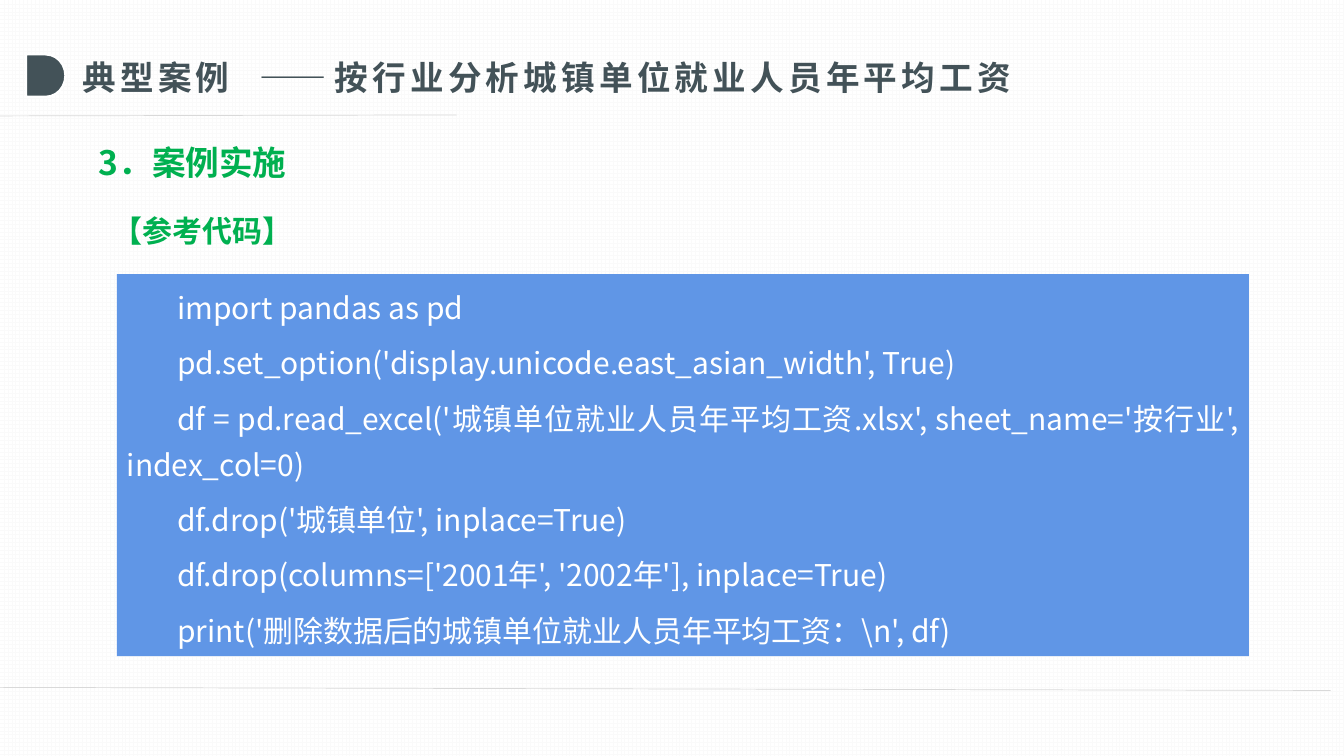
from lxml import etree
from pptx import Presentation
from pptx.dml.color import RGBColor
from pptx.enum.dml import MSO_PATTERN
from pptx.enum.shapes import MSO_CONNECTOR, MSO_SHAPE
from pptx.enum.text import MSO_ANCHOR, MSO_AUTO_SIZE, PP_ALIGN
from pptx.oxml.ns import qn
from pptx.util import Pt

CROSS = MSO_PATTERN.CROSS
STRAIGHT = MSO_CONNECTOR.STRAIGHT
DELAY, RECTANGLE = MSO_SHAPE.FLOWCHART_DELAY, MSO_SHAPE.RECTANGLE
TOP = MSO_ANCHOR.TOP
GROW = MSO_AUTO_SIZE.SHAPE_TO_FIT_TEXT
LEFT, JUSTIFY = PP_ALIGN.LEFT, PP_ALIGN.JUSTIFY

WHITE = RGBColor(0xFF, 0xFF, 0xFF)
PATTERN_GRAY = RGBColor(0xFA, 0xFA, 0xFA)
RULE_GRAY = RGBColor(0xD9, 0xD9, 0xD9)
SLATE = RGBColor(0x43, 0x52, 0x58)
GREEN = RGBColor(0x00, 0xB0, 0x50)
BLUE = RGBColor(0x60, 0x96, 0xE6)

CJK_FONT = "Noto Sans CJK SC"
TITLE_FORMAT = {"size": Pt(24), "bold": True, "name": "Arial"}
SECTION_FORMAT = {"size": Pt(24), "bold": True, "name": CJK_FONT}
LABEL_FORMAT = {"size": Pt(21.4), "bold": True, "name": CJK_FONT}
CODE_FORMAT = {"size": Pt(21.4), "bold": False, "name": CJK_FONT}

# Text, font and letter spacing in points
TITLE_RUNS = [
    ("典型案例", "Arial", 3),
    (" ", "Arial", 12.7),
    ("——", CJK_FONT, 3),
    ("按行业分析城镇单位就业人员年平均工资", "Arial", 3),
]
CODE_LINES = [
    "import pandas as pd",
    "pd.set_option('display.unicode.east_asian_width', True)",
    "df = pd.read_excel('城镇单位就业人员年平均工资.xlsx', sheet_name='按行业', index_col=0)",
    "df.drop('城镇单位', inplace=True)",
    "df.drop(columns=['2001年', '2002年'], inplace=True)",
    r"print('删除数据后的城镇单位就业人员年平均工资：\n', df)",
]


def add_run(paragraph, text, color, format_values):
    run = paragraph.add_run()
    run.text = text
    for name, value in format_values.items():
        setattr(run.font, name, value)
    run.font.color.rgb = color
    properties = run.font._element
    etree.SubElement(properties, qn("a:ea")).set("typeface", CJK_FONT)
    return properties


def set_first_indent(paragraph, indent):
    properties = paragraph._p.get_or_add_pPr()
    properties.set("marL", "0")
    properties.set("indent", str(Pt(indent)))


def set_frame(text_frame):
    for name, value in {"word_wrap": True, "auto_size": GROW, "vertical_anchor": TOP}.items():
        setattr(text_frame, name, value)


def add_shape(slide, kind, box, color):
    shape = slide.shapes.add_shape(kind, *map(Pt, box))
    shape.shadow.inherit = False
    shape.fill.solid()
    shape.fill.fore_color.rgb = color
    return shape


def add_rule(slide, left, top, width, drop):
    rule = slide.shapes.add_connector(
        STRAIGHT, Pt(left), Pt(top), Pt(left + width), Pt(top + drop))
    rule.line.color.rgb = RULE_GRAY
    rule.line.width = Pt(0.5)
    etree.SubElement(rule._element.spPr, qn("a:effectLst"))


def add_header(slide, left, top, width, height):
    # Marker beside the title
    marker = add_shape(slide, DELAY, (left, top + 2.2, 28, 30.2), SLATE)
    marker.line.color.rgb = WHITE
    marker.line.width = Pt(1.5)

    # Title
    title = slide.shapes.title
    title.left, title.top = Pt(left + 33.1), Pt(top)
    title.width, title.height = Pt(width - 33.1), Pt(height)
    set_frame(title.text_frame)
    paragraph = title.text_frame.paragraphs[0]
    paragraph.alignment = LEFT
    for text, font_name, spacing in TITLE_RUNS:
        properties = add_run(paragraph, text, SLATE, {**TITLE_FORMAT, "name": font_name})
        properties.set("spc", str(round(spacing * 100)))


def add_heading(slide, box, text, format_values):
    heading = slide.shapes.add_textbox(*map(Pt, box))
    set_frame(heading.text_frame)
    paragraph = heading.text_frame.paragraphs[0]
    set_first_indent(paragraph, 21.6)
    add_run(paragraph, text, GREEN, format_values)


def add_code_panel(slide, box):
    panel = add_shape(slide, RECTANGLE, box, BLUE)
    panel.line.fill.background()
    text_frame = panel.text_frame
    set_frame(text_frame)
    for index, code in enumerate(CODE_LINES):
        paragraph = text_frame.add_paragraph() if index else text_frame.paragraphs[0]
        set_first_indent(paragraph, 36)
        paragraph.alignment = JUSTIFY
        paragraph.line_spacing = 1.3
        paragraph.space_before = Pt(6 if index else 0)
        add_run(paragraph, code, WHITE, CODE_FORMAT)


def build_case_slide(presentation):
    slide = presentation.slides.add_slide(presentation.slide_layouts[5])

    # Background
    background = slide.background.fill
    background.patterned()
    background.pattern = CROSS
    background.fore_color.rgb = PATTERN_GRAY
    background.back_color.rgb = WHITE

    # Rules below the header and above the footer
    add_rule(slide, 0, 82.8, 326.2, -0.7)
    add_rule(slide, 0, 491, 950.4, 2.2)

    # Header, headings and code
    add_header(slide, 18.7, 36.7, 857.5, 36)
    add_heading(slide, (41.8, 97.9, 474.5, 36), "3．案例实施", SECTION_FORMAT)
    add_heading(slide, (51.8, 148.3, 474.5, 33.1), "【参考代码】", LABEL_FORMAT)
    add_code_panel(slide, (83.5, 195.8, 808.6, 272.9))


def main():
    presentation = Presentation()
    presentation.slide_width, presentation.slide_height = Pt(960), Pt(540)
    build_case_slide(presentation)
    presentation.save("out.pptx")


if __name__ == "__main__":
    main()
